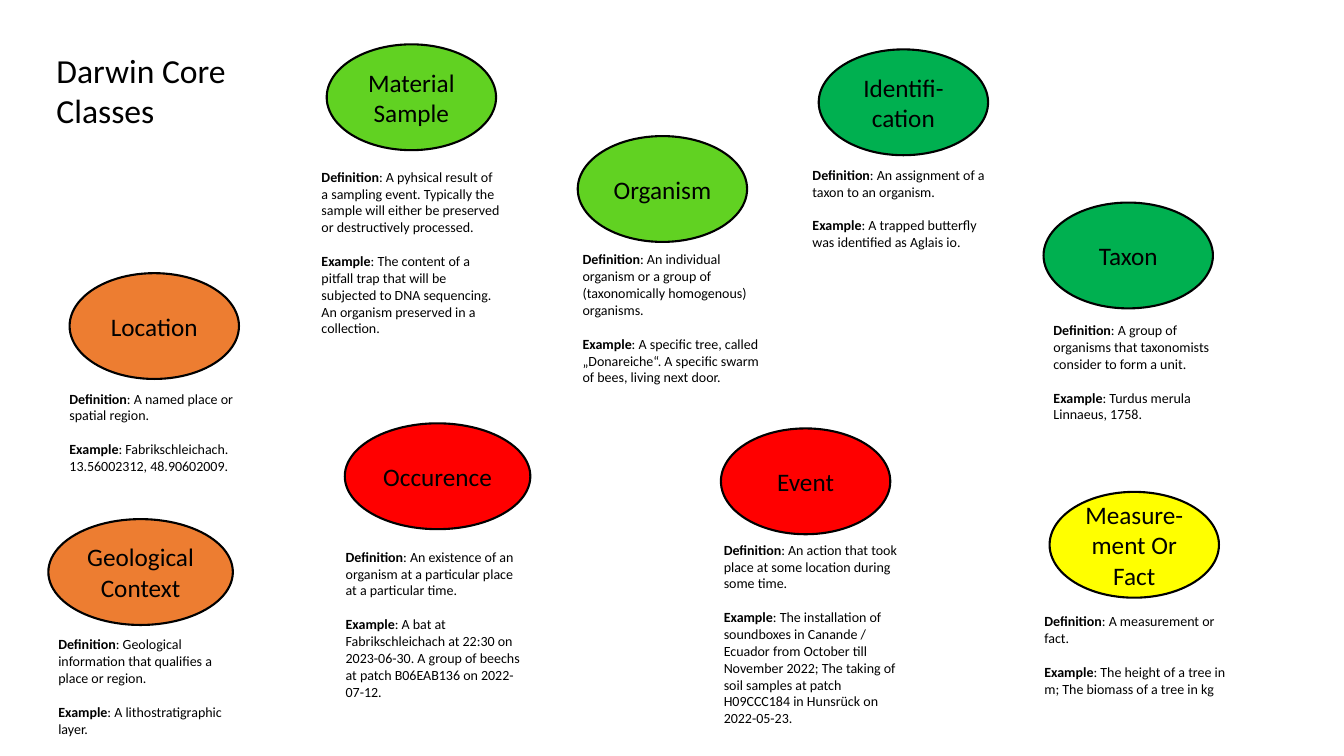
from collections import namedtuple

from pptx import Presentation
from pptx.dml.color import RGBColor
from pptx.enum.shapes import MSO_SHAPE
from pptx.enum.text import MSO_ANCHOR as ANCHOR, MSO_AUTO_SIZE as AUTO, PP_ALIGN as ALIGN
from pptx.util import Inches, Pt

BLACK = RGBColor(0x00, 0x00, 0x00)
LIME = RGBColor(0x61, 0xD2, 0x22)
GREEN = RGBColor(0x00, 0xB0, 0x50)
RED = RGBColor(0xFF, 0x00, 0x00)
ORANGE = RGBColor(0xED, 0x7D, 0x31)
YELLOW = RGBColor(0xFF, 0xFF, 0x00)

FONT = "Calibri"
OVAL_H = 1.05
NOTE_W = 1.99

DwcClass = namedtuple(
    "DwcClass", "name color oval_at oval_w note_at note_h definition example")

CLASSES = [
    DwcClass("Organism", LIME, (5.73, 1.35), 1.68, (5.68, 2.44), 1.45,
             "An individual organism or a group of (taxonomically homogenous) organisms. ",
             ["A specific tree, called \u201eDonareiche\u201c. "
              "A specific swarm of bees, living next door."]),
    DwcClass("Taxon", GREEN, (10.35, 2.01), 1.68, (10.35, 3.14), 1.11,
             "A group of organisms that taxonomists consider to form a unit. ",
             ["Turdus merula", "Linnaeus, 1758. "]),
    DwcClass("Identifi-cation", GREEN, (8.12, 0.49), 1.68, (7.96, 1.6), 0.94,
             "An assignment of a taxon to an organism.",
             ["A trapped butterfly was identified as Aglais io."]),
    DwcClass("Occurence", RED, (3.42, 4.2), 1.84, (3.33, 5.39), 1.62,
             "An existence of an organism at a particular place at a particular time.",
             ["A bat at Fabrikschleichach at 22:30 on 2023-06-30. "
              "A group of beechs at patch B06EAB136 on 2022-07-12."]),
    DwcClass("Location", ORANGE, (0.69, 2.71), 1.68, (0.59, 3.82), 1.41,
             "A named place or spatial region.",
             ["Fabrikschleichach. 13.56002312, 48.90602009."]),
    DwcClass("Event", RED, (7.15, 4.25), 1.68, (7.08, 5.32), 1.95,
             "An action that took place at some location during some time.",
             ["The installation of soundboxes in Canande / Ecuador from October till "
              "November 2022; The taking of soil samples at patch H09CCC184 in "
              "Hunsr\u00fcck on 2022-05-23."]),
    DwcClass("Measure-ment Or Fact", YELLOW, (10.41, 4.88), 1.68, (10.26, 6.03), 1.11,
             "A measurement or fact.",
             ["The height of a tree in m; The biomass of a tree in kg"]),
    DwcClass("Material Sample", LIME, (3.24, 0.44), 1.68, (3.09, 1.62), 1.78,
             "A pyhsical result of a sampling event. Typically the sample will "
             "either be preserved or destructively processed.",
             ["The content of a pitfall trap that will be subjected to DNA "
              "sequencing. An organism preserved in a collection."]),
    DwcClass("Geological Context", ORANGE, (0.48, 5.15), 1.83, (0.48, 6.26), 1.11,
             "Geological information that qualifies a place or region.",
             ["A lithostratigraphic layer."]),
]


def add_run(p, text, size, bold=False):
    r = p.add_run()
    r.text = text
    r.font.name = FONT
    r.font.size = Pt(size)
    r.font.bold = bold
    r.font.color.rgb = BLACK


def add_title(s, lines):
    sp = s.shapes.title
    sp.left, sp.top, sp.width, sp.height = map(Inches, (0.46, 0.44, 2.25, 0.91))
    tf = sp.text_frame
    tf.auto_size = AUTO.NONE
    tf.word_wrap = True
    tf.vertical_anchor = ANCHOR.TOP
    for i, line in enumerate(lines):
        p = tf.add_paragraph() if i else tf.paragraphs[0]
        p.alignment = ALIGN.LEFT
        p.line_spacing = 1.0
        p.space_before = Pt(0)
        add_run(p, line, 24)


def add_oval(shapes, item):
    x, y = item.oval_at
    sp = shapes.add_shape(MSO_SHAPE.OVAL, Inches(x), Inches(y),
                          Inches(item.oval_w), Inches(OVAL_H))
    sp.shadow.inherit = False
    sp.fill.solid()
    sp.fill.fore_color.rgb = item.color
    sp.line.color.rgb = BLACK
    sp.line.width = Pt(1.5)
    tf = sp.text_frame
    tf.word_wrap = True
    tf.vertical_anchor = ANCHOR.MIDDLE
    p = tf.paragraphs[0]
    p.alignment = ALIGN.CENTER
    add_run(p, item.name, 18)


def add_labelled(p, label, text):
    add_run(p, label, 10, bold=True)
    add_run(p, ": " + text, 10)


def add_note(shapes, item):
    x, y = item.note_at
    sp = shapes.add_textbox(Inches(x), Inches(y), Inches(NOTE_W), Inches(item.note_h))
    tf = sp.text_frame
    tf.word_wrap = True
    add_labelled(tf.paragraphs[0], "Definition", item.definition)
    p = tf.add_paragraph()
    p.space_before = Pt(12.2)
    first, *rest = item.example
    add_labelled(p, "Example", first)
    for line in rest:
        add_run(tf.add_paragraph(), line, 10)


def add_class(s, item):
    shapes = s.shapes.add_group_shape().shapes
    add_oval(shapes, item)
    add_note(shapes, item)


def main():
    prs = Presentation()
    prs.slide_width = Inches(13.33)
    prs.slide_height = Inches(7.5)
    s = prs.slides.add_slide(prs.slide_layouts[5])
    add_title(s, ["Darwin Core ", "Classes"])
    for item in CLASSES:
        add_class(s, item)
    prs.save("out.pptx")


main()
